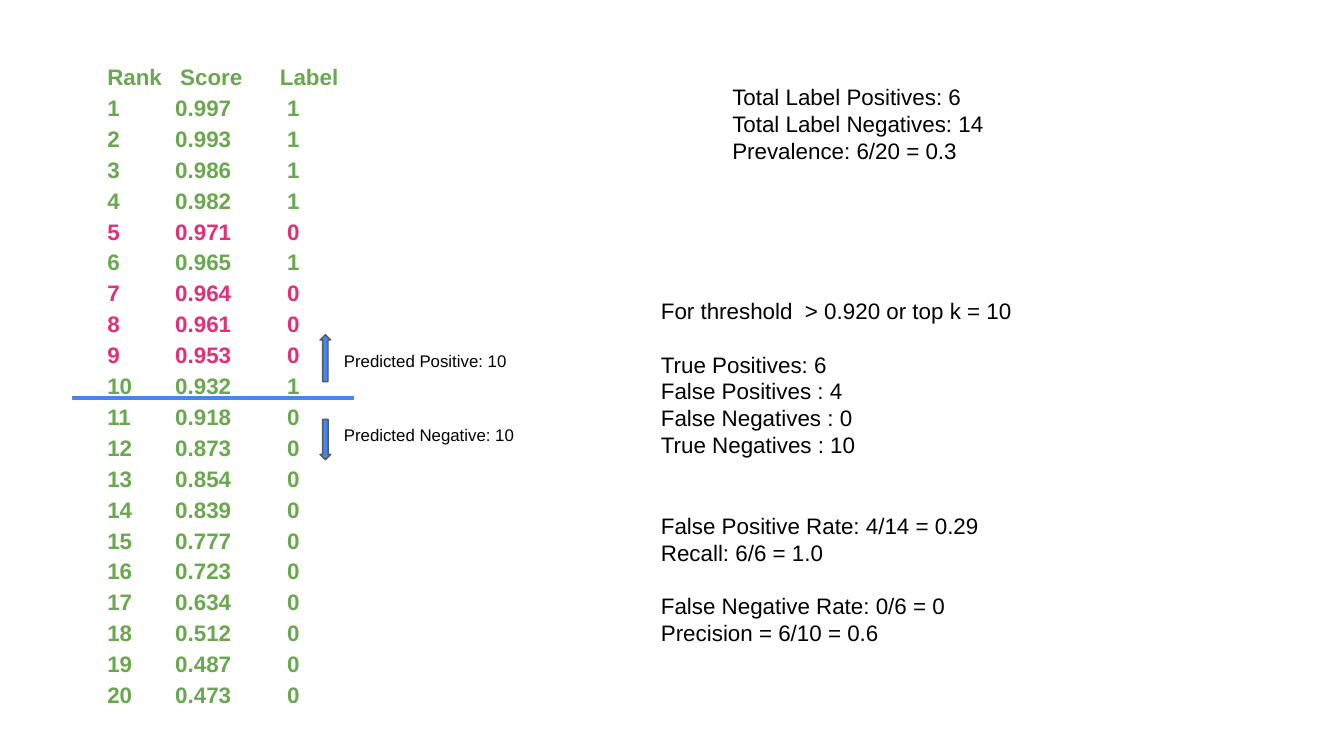
from dataclasses import dataclass

from lxml.etree import SubElement
from pptx import Presentation
from pptx.dml.color import RGBColor
from pptx.enum.shapes import MSO_SHAPE as Preset
from pptx.enum.text import MSO_ANCHOR as Anchor, MSO_AUTO_SIZE as AutoSize, PP_ALIGN as Align
from pptx.oxml.ns import qn
from pptx.util import Pt


@dataclass(frozen=True)
class Theme:
    """Colours and type sizes of the slide."""
    font: str = "Arial"
    body: float = 12
    small: float = 9
    gap: float = 14.4
    inset: float = 7.2
    outline: float = 0.75
    ink: str = "000000"
    paper: str = "FFFFFF"
    correct: str = "6AA84F"
    wrong: str = "DF3079"
    accent: str = "4285F4"
    cutoff: str = "4A86E8"
    arrow: str = "595959"


THEME = Theme()
SCORES = [0.997, 0.993, 0.986, 0.982, 0.971, 0.965, 0.964, 0.961, 0.953, 0.932,
          0.918, 0.873, 0.854, 0.839, 0.777, 0.723, 0.634, 0.512, 0.487, 0.473]
POSITIVE_RANKS = {1, 2, 3, 4, 6, 10}
TOP_K = 10
HEADER_TABS = (39.1, 92.5)
ROW_TABS = (36.4, 96.4)
TOTALS = [["Total Label Positives: 6", "Total Label Negatives: 14", "Prevalence: 6/20 = 0.3"]]
METRICS = [
    ["For threshold  > 0.920 or top k = 10"],
    ["True Positives: 6", "False Positives : 4", "False Negatives : 0", "True Negatives : 10"],
    ["False Positive Rate: 4/14 = 0.29", "Recall: 6/6 = 1.0"],
    ["False Negative Rate: 0/6 = 0", "Precision = 6/10 = 0.6"],
]


def apply_format(target, values):
    """Set each named attribute of target."""
    for name, value in values.items():
        setattr(target, name, value)


def prepare_frame(frame):
    """Give a text frame the common insets, wrapping and anchor."""
    sides = ("margin_left", "margin_top", "margin_right", "margin_bottom")
    apply_format(frame, dict.fromkeys(sides, Pt(THEME.inset)))
    apply_format(frame, {"word_wrap": True, "vertical_anchor": Anchor.TOP,
                         "auto_size": AutoSize.SHAPE_TO_FIT_TEXT})


def write_line(frame, text, size, color, bold=False, **layout):
    """Write one paragraph, using the empty first one if it is free."""
    first = frame.paragraphs[0]
    line = frame.add_paragraph() if first.runs else first
    apply_format(line, {"alignment": Align.LEFT, **layout})
    run = line.add_run()
    run.text = text
    apply_format(run.font, {"name": THEME.font, "size": Pt(size), "bold": bold})
    run.font.color.rgb = RGBColor.from_string(color)
    return line


def set_tabs(line, stops):
    """Add left tab stops to a paragraph."""
    tabs = SubElement(line._p.get_or_add_pPr(), qn("a:tabLst"))
    for stop in stops:
        SubElement(tabs, qn("a:tab"), pos=str(Pt(stop)), algn="l")


def add_outlined(slide, preset, box, line, fill=None):
    """Draw a preset shape with a thin outline and an optional fill."""
    shape = slide.shapes.add_shape(preset, *map(Pt, box))
    shape.shadow.inherit = False
    if fill:
        shape.fill.solid()
        shape.fill.fore_color.rgb = RGBColor.from_string(fill)
    else:
        shape.fill.background()
    shape.line.color.rgb = RGBColor.from_string(line)
    shape.line.width = Pt(THEME.outline)
    return shape


def add_ranking(slide, box):
    """List rank, score and label, coloured by whether the prediction is right."""
    frame = add_outlined(slide, Preset.RECTANGLE, box, THEME.paper).text_frame
    prepare_frame(frame)
    rows = [("Rank\tScore\tLabel", THEME.correct, HEADER_TABS)]
    for rank, score in enumerate(SCORES, 1):
        positive = rank in POSITIVE_RANKS
        color = THEME.correct if positive or rank > TOP_K else THEME.wrong
        rows.append((f"{rank}\t{score:.3f}\t{int(positive)}", color, ROW_TABS))
    for text, color, stops in rows:
        line = write_line(frame, text, THEME.body, color, bold=True, line_spacing=1.15)
        set_tabs(line, stops)


def add_notes(slide, box, groups, size=THEME.body):
    """Write groups of lines with a gap before each later group."""
    frame = slide.shapes.add_textbox(*map(Pt, box)).text_frame
    prepare_frame(frame)
    for number, group in enumerate(groups):
        gap = THEME.gap * (2 if number == 2 else 1) if number else 0
        for position, text in enumerate(group):
            write_line(frame, text, size, THEME.ink,
                       space_before=Pt(0 if position else gap))


def add_cutoff(slide, box):
    """Draw the cutoff line with an arrow and a caption on either side."""
    left, top, width, height = box
    add_outlined(slide, Preset.RECTANGLE, (left, top + 33.1, 150.5, 1.44),
                 THEME.cutoff, THEME.accent)
    arrow_left = left + 132.5
    caption_left = arrow_left + 5.76
    sides = [("Predicted Positive: 10", 0, 25.2, 0, 2.9),
             ("Predicted Negative: 10", 45.4, 21.6, 180, 42.5)]
    for caption, offset, length, rotation, caption_offset in sides:
        arrow = add_outlined(slide, Preset.UP_ARROW, (arrow_left, top + offset, 5.76, length),
                             THEME.arrow, THEME.accent)
        arrow.rotation = rotation
        caption_box = (caption_left, top + caption_offset, left + width - caption_left, 25.2)
        add_notes(slide, caption_box, [[caption]], THEME.small)


def main():
    """Build and save the slide."""
    deck = Presentation()
    apply_format(deck, {"slide_width": Pt(720), "slide_height": Pt(405)})
    slide = deck.slides.add_slide(deck.slide_layouts[6])
    add_ranking(slide, (50.4, 24.5, 139, 363.6))
    add_notes(slide, (385.2, 37.4, 334.8, 58.3), TOTALS)
    add_cutoff(slide, (38.9, 179.3, 249.9, 67.7))
    add_notes(slide, (347, 151.9, 288, 203.8), METRICS)
    deck.save("out.pptx")


if __name__ == "__main__":
    main()
